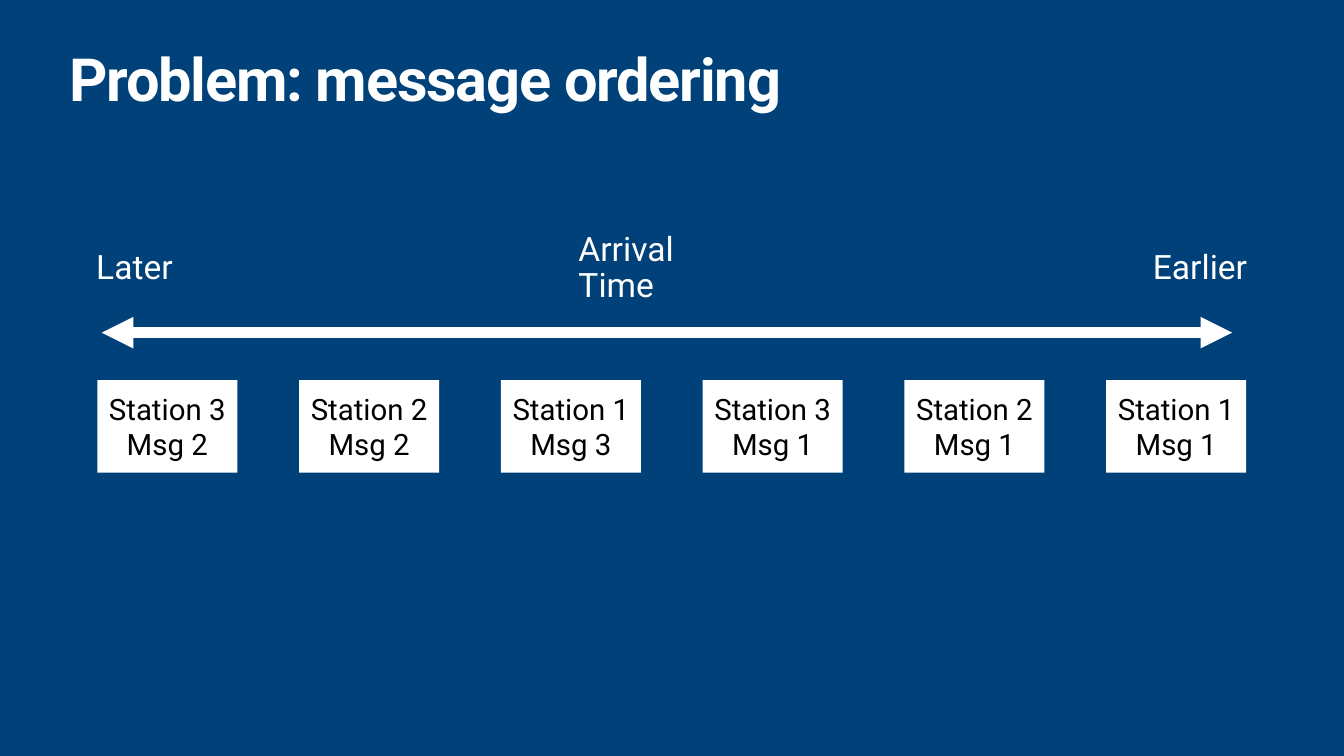
import pptx
import pptx.util
import pptx.dml.color
import pptx.enum.shapes
import pptx.enum.text
import pptx.oxml.ns
from lxml import etree

Inches, Pt = pptx.util.Inches, pptx.util.Pt
RGBColor = pptx.dml.color.RGBColor
ALIGN, ANCHOR = pptx.enum.text.PP_ALIGN, pptx.enum.text.MSO_ANCHOR
qn = pptx.oxml.ns.qn

NAVY = RGBColor(0x00, 0x41, 0x7A)
WHITE = RGBColor(0xFF, 0xFF, 0xFF)
BLACK = RGBColor(0x00, 0x00, 0x00)
FONT = "Roboto"
W, H = 26.67, 15
MESSAGES = [("Station 3", "Msg 2"), ("Station 2", "Msg 2"), ("Station 1", "Msg 3"),
            ("Station 3", "Msg 1"), ("Station 2", "Msg 1"), ("Station 1", "Msg 1")]


def place(sp, left, top, width, height):
    sp.left, sp.top, sp.width, sp.height = map(Inches, (left, top, width, height))


def write(sp, lines, size, color, align, anchor, spacing=1.0, bold=False):
    """Put one paragraph per line into the shape and return the last run."""
    tf = sp.text_frame
    tf.word_wrap = True
    tf.auto_size = pptx.enum.text.MSO_AUTO_SIZE.NONE
    tf.vertical_anchor = anchor
    tf.margin_left = tf.margin_right = tf.margin_top = tf.margin_bottom = Inches(0.06)
    for i, line in enumerate(lines):
        p = tf.add_paragraph() if i else tf.paragraphs[0]
        p.alignment, p.line_spacing = align, spacing
        p.space_before = Pt(0)
        r = p.add_run()
        r.text = line
        r.font.name, r.font.size, r.font.bold = FONT, Pt(size), bold
        r.font.color.rgb = color
    return r


def add_title(s, text, left, top, width, height):
    sp = s.shapes.title
    place(sp, left, top, width, height)
    r = write(sp, [text], 85, WHITE, ALIGN.LEFT, ANCHOR.TOP, 0.8, True)
    r.font._element.set("spc", "-170")


def add_axis(s, left, top, width, height):
    """Time axis: three labels over a double-headed arrow."""
    label_h = 0.88
    for text, x, w, align in [("Later", -0.08, 2, ALIGN.LEFT),
                              ("Arrival Time", 9.49, 3.4, ALIGN.LEFT),
                              ("Earlier", width - 2.42, 2.5, ALIGN.RIGHT)]:
        sp = s.shapes.add_textbox(*map(Inches, (left + x, top, w, label_h)))
        write(sp, [text], 48, WHITE, align, ANCHOR.MIDDLE, 0.9)

    y = Inches(top + height)
    line = s.shapes.add_connector(pptx.enum.shapes.MSO_CONNECTOR.STRAIGHT,
                                  Inches(left + 0.09), y, Inches(left + width - 0.28), y)
    line.line.color.rgb, line.line.width = WHITE, Pt(15)
    ln = line.line._get_or_add_ln()
    for end in ("a:headEnd", "a:tailEnd"):
        etree.SubElement(ln, qn(end), type="triangle")
    etree.SubElement(line._element.spPr, qn("a:effectLst"))


def add_messages(s, left, top, width, height, card_w=2.78):
    """Evenly spaced message cards that fill the width."""
    step = (width - card_w) / (len(MESSAGES) - 1)
    for i, lines in enumerate(MESSAGES):
        sp = s.shapes.add_shape(pptx.enum.shapes.MSO_SHAPE.RECTANGLE,
                                *map(Inches, (left + i * step, top, card_w, height)))
        sp.shadow.inherit = False
        sp.fill.solid()
        sp.fill.fore_color.rgb = WHITE
        sp.line.fill.background()
        write(sp, lines, 42, BLACK, ALIGN.CENTER, ANCHOR.MIDDLE)


def main():
    prs = pptx.Presentation()
    prs.slide_width, prs.slide_height = Inches(W), Inches(H)
    s = prs.slides.add_slide(prs.slide_layouts[5])
    s.background.fill.solid()
    s.background.fill.fore_color.rgb = NAVY

    left, width = 1.93, 22.8
    add_title(s, "Problem: message ordering", 1.32, 1.04, 0.9 * W, 1.57)
    add_axis(s, left, 4.89, width, 1.71)
    add_messages(s, left, 7.54, width, 1.84)
    prs.save("out.pptx")


if __name__ == "__main__":
    main()
